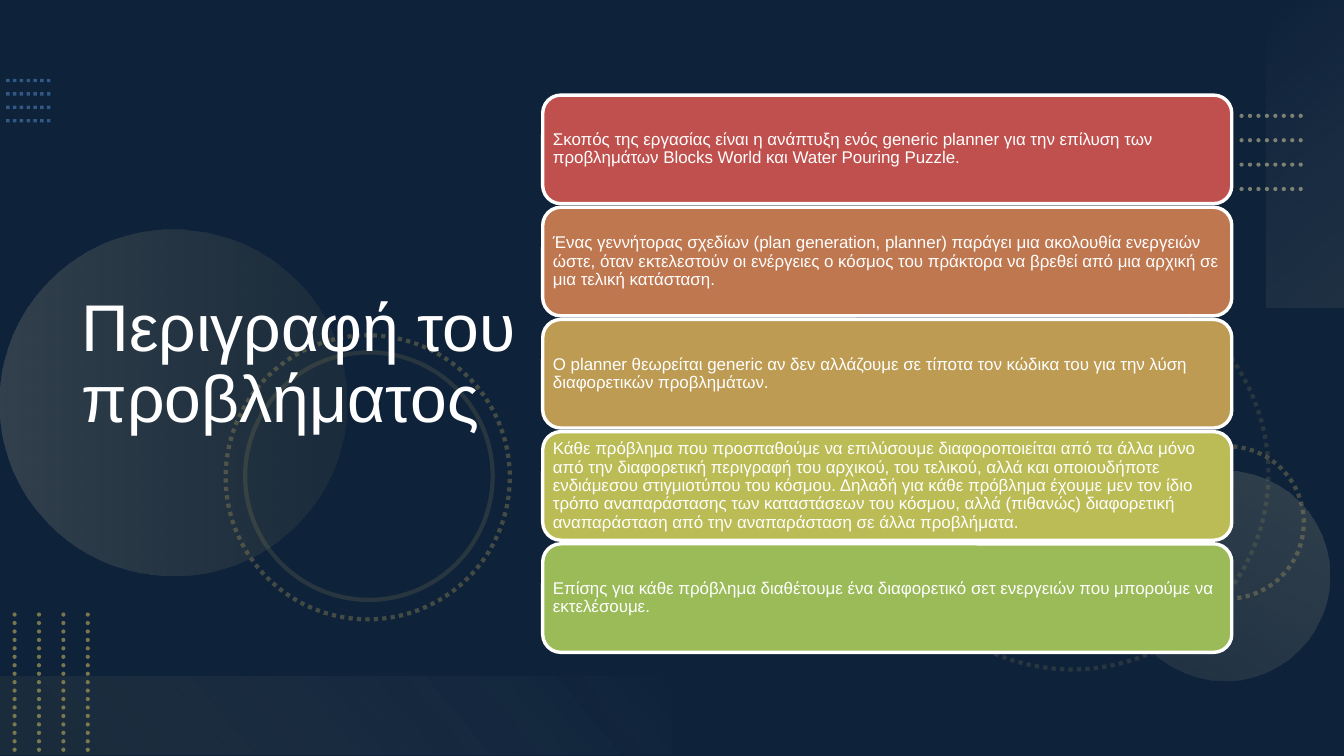
import pptx
import pptx.dml.color
import pptx.enum.dml
import pptx.enum.shapes
import pptx.enum.text
import pptx.oxml
import pptx.oxml.ns
import pptx.util

Inches = pptx.util.Inches
RGBColor = pptx.dml.color.RGBColor
Shapes = pptx.enum.shapes.MSO_SHAPE

NAVY = RGBColor(0x1F, 0x49, 0x7D)
BLACK = RGBColor(0x00, 0x00, 0x00)
WHITE = RGBColor(0xFF, 0xFF, 0xFF)
SKY = RGBColor(0x55, 0x8E, 0xD5)
OLIVE = RGBColor(0x94, 0x8A, 0x54)
SAND = RGBColor(0xC4, 0xBD, 0x97)
PALE_SAND = RGBColor(0xF8, 0xF7, 0xF3)
PALE_OLIVE = RGBColor(0xF5, 0xF4, 0xED)
RED = RGBColor(0xC0, 0x50, 0x4D)
COPPER = RGBColor(0xBF, 0x77, 0x50)
GOLD = RGBColor(0xBD, 0x9B, 0x53)
LIME = RGBColor(0xBC, 0xBC, 0x56)
GREEN = RGBColor(0x9B, 0xBB, 0x59)

WIDTH, HEIGHT = 11.02, 6.2
TITLE = "Περιγραφή του προβλήματος"
CARDS = [
    (RED, "Σκοπός της εργασίας είναι η ανάπτυξη ενός generic planner για την επίλυση των "
          "προβλημάτων Blocks World και Water Pouring Puzzle."),
    (COPPER, "Ένας γεννήτορας σχεδίων (plan generation, planner) παράγει μια ακολουθία ενεργειών "
             "ώστε, όταν εκτελεστούν οι ενέργειες ο κόσμος του πράκτορα να βρεθεί από μια αρχική "
             "σε μια τελική κατάσταση."),
    (GOLD, "Ο planner θεωρείται generic αν δεν αλλάζουμε σε τίποτα τον κώδικα του για την λύση "
           "διαφορετικών προβλημάτων."),
    (LIME, "Κάθε πρόβλημα που προσπαθούμε να επιλύσουμε διαφοροποιείται από τα άλλα μόνο από την "
           "διαφορετική περιγραφή του αρχικού, του τελικού, αλλά και οποιουδήποτε ενδιάμεσου "
           "στιγμιοτύπου του κόσμου. Δηλαδή για κάθε πρόβλημα έχουμε μεν τον ίδιο τρόπο "
           "αναπαράστασης των καταστάσεων του κόσμου, αλλά (πιθανώς) διαφορετική αναπαράσταση "
           "από την αναπαράσταση σε άλλα προβλήματα."),
    (GREEN, "Επίσης για κάθε πρόβλημα διαθέτουμε ένα διαφορετικό σετ ενεργειών που μπορούμε να "
            "εκτελέσουμε."),
]


class SlideBuilder:
    """Holds the text style and the current slide."""

    font = {"name": "Arial"}
    paragraph_format = {"line_spacing": 0.9, "alignment": pptx.enum.text.PP_ALIGN.LEFT}

    def __init__(self, slide):
        self.slide = slide

    def set_opacity(self, properties, opacity):
        for color in properties.iter(pptx.oxml.ns.qn("a:srgbClr")):
            alpha = color.makeelement(pptx.oxml.ns.qn("a:alpha"), {"val": str(opacity * 1000)})
            color.append(alpha)

    def style_line(self, shape, color, width, opacity=100, dotted=False, rounded=False):
        shape.line.color.rgb = color
        shape.line.width = pptx.util.Pt(width)
        if dotted:
            shape.line.dash_style = pptx.enum.dml.MSO_LINE.ROUND_DOT
        outline = shape._element.spPr.find(pptx.oxml.ns.qn("a:ln"))
        if rounded:
            outline.set("cap", "rnd")
        if opacity < 100:
            self.set_opacity(outline, opacity)

    def add_shape(self, kind, box, fill=None, opacity=100, rotation=0):
        shape = self.slide.shapes.add_shape(kind, *map(Inches, box))
        shape.shadow.inherit = False
        shape.rotation = rotation
        shape.line.fill.background()
        if fill is None:
            shape.fill.background()
        else:
            shape.fill.solid()
            shape.fill.fore_color.rgb = fill
            if opacity < 100:
                self.set_opacity(shape._element.spPr, opacity)
        return shape

    def add_gradient_shape(self, kind, box, rotation, angle, stops):
        shape = self.add_shape(kind, box, rotation=rotation)
        stop_xml = "".join(
            f'<a:gs pos="{position * 1000}"><a:srgbClr val="{color}">'
            f'<a:alpha val="{opacity * 1000}"/></a:srgbClr></a:gs>'
            for position, color, opacity in stops)
        gradient = pptx.oxml.parse_xml(
            f'<a:gradFill {pptx.oxml.ns.nsdecls("a")} rotWithShape="1"><a:gsLst>{stop_xml}'
            f'</a:gsLst><a:lin ang="{angle * 60000}" scaled="0"/></a:gradFill>')
        properties = shape._element.spPr
        properties.replace(properties.find(pptx.oxml.ns.qn("a:noFill")), gradient)

    def add_ring(self, left, top, size, rotation, opacity, dotted=True):
        ring = self.add_shape(Shapes.OVAL, (left, top, size, size), rotation=rotation)
        self.style_line(ring, OLIVE, 2.5, opacity, dotted)

    def add_dotted_line(self, ends, color, width, opacity, rounded=True):
        connector = self.slide.shapes.add_connector(
            pptx.enum.shapes.MSO_CONNECTOR.STRAIGHT, *map(Inches, ends))
        self.style_line(connector, color, width, opacity, True, rounded)
        properties = connector._element.spPr
        properties.append(properties.makeelement(pptx.oxml.ns.qn("a:effectLst"), {}))

    def fill_text(self, shape, text, size, margin):
        frame = shape.text_frame
        frame_format = {"word_wrap": True, "vertical_anchor": pptx.enum.text.MSO_ANCHOR.MIDDLE}
        for side in ("left", "right", "top", "bottom"):
            frame_format[f"margin_{side}"] = Inches(margin)
        paragraph = frame.paragraphs[0]
        run = paragraph.add_run()
        run.text = text
        run.font.color.rgb = WHITE
        font_format = {**self.font, "size": pptx.util.Pt(size)}
        for target, values in ((frame, frame_format), (paragraph, self.paragraph_format),
                               (run.font, font_format)):
            for name, value in values.items():
                setattr(target, name, value)

    def add_text(self, box, text, size, margin):
        self.fill_text(self.slide.shapes.add_textbox(*map(Inches, box)), text, size, margin)

    def add_card(self, box, color, text):
        card = self.add_shape(Shapes.ROUNDED_RECTANGLE, box, color)
        self.style_line(card, WHITE, 2)
        self.fill_text(card, text, 10, 0.04)


def main():
    presentation = pptx.Presentation()
    presentation.slide_width = Inches(WIDTH)
    presentation.slide_height = Inches(HEIGHT)
    slide = presentation.slides.add_slide(presentation.slide_layouts[6])
    builder = SlideBuilder(slide)

    # Background and its dark veil
    slide.background.fill.solid()
    slide.background.fill.fore_color.rgb = NAVY
    builder.add_shape(Shapes.RECTANGLE, (0, 0, WIDTH, HEIGHT), BLACK, 53)

    # Blue dots, top left
    for row in range(4):
        y = 0.99 - 0.11 * row
        builder.add_dotted_line((0.05, y, 0.44, y), SKY, 2, 50, rounded=False)

    # Circles and rings
    builder.add_ring(7.18, 2.27, 3.22, 75, 20)
    builder.add_ring(9.44, 3.66, 1.25, 270, 40)
    builder.add_gradient_shape(Shapes.OVAL, (0, 1.88, 2.84, 2.84), 270, 90,
                               [(0, SAND, 20), (100, OLIVE, 10)])
    builder.add_gradient_shape(Shapes.OVAL, (9.18, 3.86, 1.72, 1.72), 210, 90,
                               [(0, SAND, 10), (100, SAND, 20)])
    builder.add_ring(1.85, 2.75, 2.33, 75, 40)
    builder.add_ring(2.01, 2.89, 2.03, 75, 20, dotted=False)

    # Right panel with rows of dots
    builder.add_gradient_shape(Shapes.RECTANGLE, (9.44, 0.94, 2.53, 0.64), 270, 140,
                               [(0, PALE_SAND, 0), (100, SAND, 10)])
    for row in range(4):
        y = 0.95 + 0.2 * row
        builder.add_dotted_line((10.18, y, 10.68, y), SAND, 2.5, 60)

    # Bottom panel with columns of dots
    builder.add_gradient_shape(Shapes.RECTANGLE, (0, 5.55, 5.51, 0.64), 180, 140,
                               [(10, OLIVE, 10), (100, PALE_OLIVE, 0)])
    for column in range(4):
        x = 0.72 - 0.2 * column
        builder.add_dotted_line((x, 5.04, x, HEIGHT), OLIVE, 2.5, 80)

    # Title and cards
    builder.add_text((0.57, 0.45, 3.79, 5.1), TITLE, 39, 0.1)
    for index, (color, text) in enumerate(CARDS):
        builder.add_card((4.45, 0.78 + 0.92 * index, 5.65, 0.89), color, text)

    presentation.save("out.pptx")


if __name__ == "__main__":
    main()
